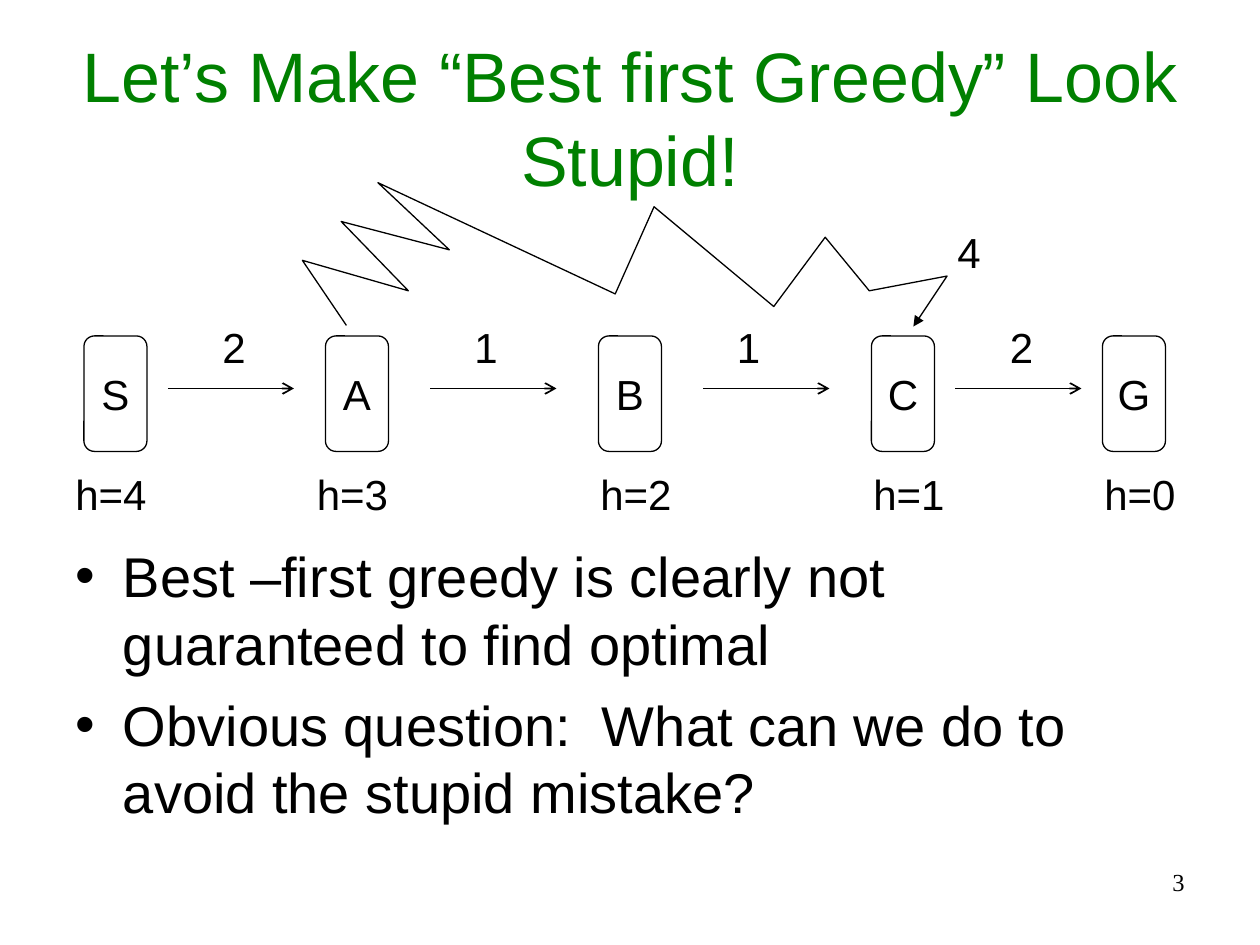
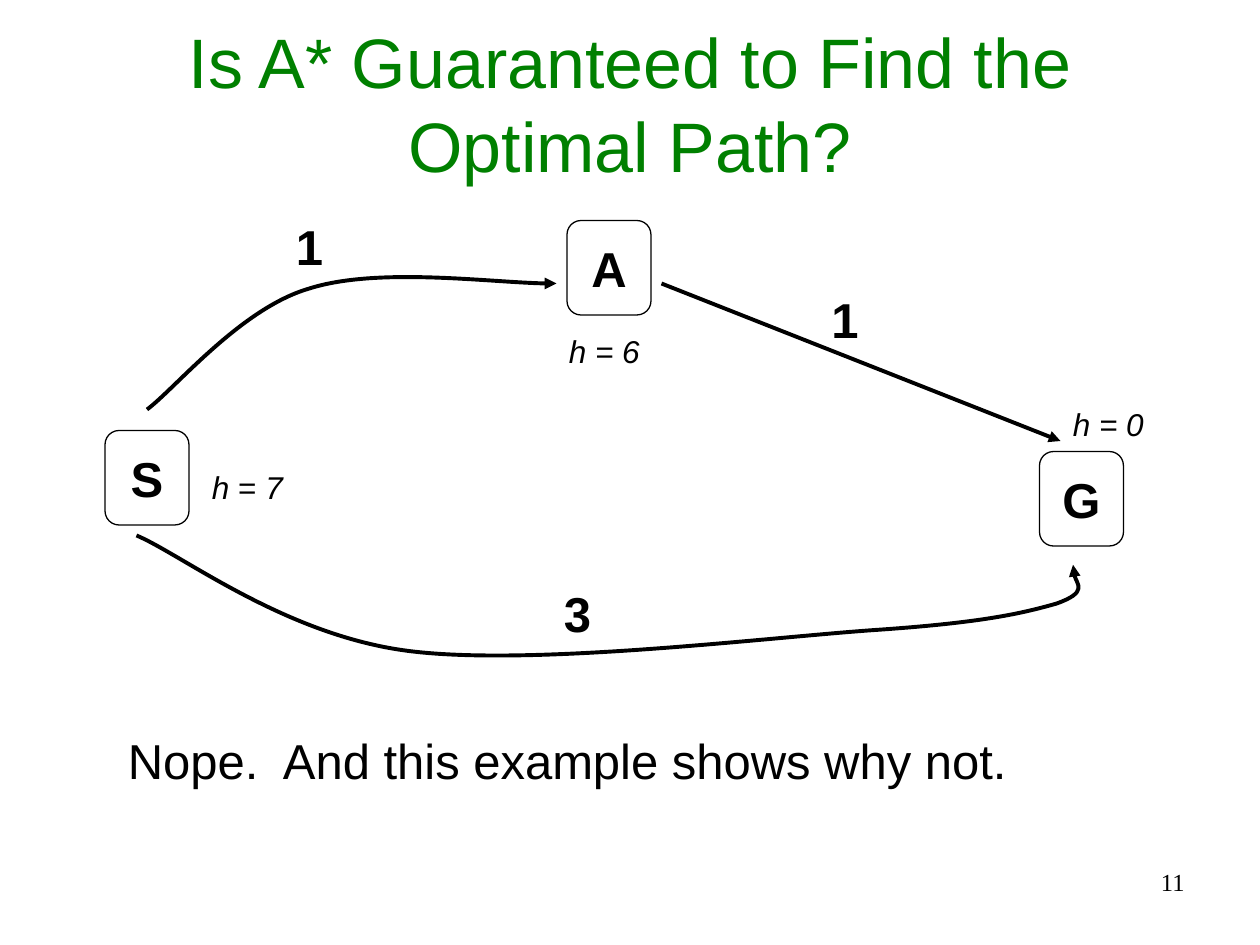
"""Build two slides on the weaknesses of greedy and A* search."""
from dataclasses import dataclass

from lxml.etree import SubElement
from pptx import Presentation
from pptx.dml.color import RGBColor
from pptx.enum.shapes import MSO_CONNECTOR, MSO_SHAPE
from pptx.enum.text import MSO_ANCHOR, MSO_AUTO_SIZE, PP_ALIGN
from pptx.oxml.ns import qn
from pptx.util import Emu, Pt

PX = 7620


@dataclass(frozen=True)
class Theme:
    """Colours, fonts, type sizes and line widths of both slides."""
    ink: RGBColor = RGBColor(0x00, 0x00, 0x00)
    title: RGBColor = RGBColor(0x00, 0x80, 0x00)
    font: str = "Arial"
    number_font: str = "Times New Roman"
    title_size: int = 40
    body_size: int = 32
    graph_size: int = 28
    chain_size: int = 24
    heuristic_size: int = 18
    number_size: int = 14
    line_height: float = 1.2
    thin: float = 0.75
    arrow: float = 1
    thick: float = 2.25


@dataclass(frozen=True)
class Box:
    """A rectangle in px."""
    left: int
    top: int
    width: int
    height: int

    def inner(self, left, top, width, height):
        """Return a box placed relative to this one."""
        return Box(self.left + left, self.top + top, width, height)

    def emu(self):
        """Return left, top, width and height in EMU."""
        return [Emu(v * PX) for v in (self.left, self.top, self.width, self.height)]


THEME = Theme()


def format_paragraph(paragraph, size, color=THEME.ink, font=THEME.font,
                     align=None, bold=False, italic=False):
    """Give a paragraph its alignment, line height and run format."""
    paragraph.alignment = align
    paragraph.line_spacing = Pt(size * THEME.line_height)
    for run in paragraph.runs:
        run.font.name = font
        run.font.size = Pt(size)
        run.font.bold = bold
        run.font.italic = italic
        run.font.color.rgb = color


def move_placeholder(placeholder, box):
    """Place a template placeholder and stop it from shrinking its text."""
    placeholder.left, placeholder.top, placeholder.width, placeholder.height = box.emu()
    placeholder.text_frame.auto_size = MSO_AUTO_SIZE.NONE


def add_title(slide, box, text):
    """Fill the title placeholder."""
    title = slide.shapes.title
    move_placeholder(title, box)
    title.text_frame.text = text
    title.text_frame.vertical_anchor = MSO_ANCHOR.MIDDLE
    format_paragraph(title.text_frame.paragraphs[0], THEME.title_size,
                     THEME.title, align=PP_ALIGN.CENTER)


def add_bullets(slide, box, items):
    """Fill the body placeholder with a bulleted list."""
    body = slide.placeholders[1]
    move_placeholder(body, box)
    body.text_frame.text = "\n".join(items)
    for index, paragraph in enumerate(body.text_frame.paragraphs):
        format_paragraph(paragraph, THEME.body_size)
        paragraph.space_before = Pt(8 if index else 0)


def add_label(slide, box, parts, size, **style):
    """Add a text box whose parts become separate runs."""
    label = slide.shapes.add_textbox(*box.emu())
    label.text_frame.word_wrap = True
    paragraph = label.text_frame.paragraphs[0]
    for part in parts:
        paragraph.add_run().text = part
    format_paragraph(paragraph, size, **style)
    return label


def add_page_number(slide, number):
    """Add the number at the lower right."""
    add_label(slide, Box(570, 820, 570, 62), [number], THEME.number_size,
              font=THEME.number_font, align=PP_ALIGN.RIGHT)


def add_node(slide, box, name, size, bold=False):
    """Add a rounded search node."""
    node = slide.shapes.add_shape(MSO_SHAPE.ROUNDED_RECTANGLE, *box.emu())
    node.shadow.inherit = False
    node.fill.background()
    node.line.color.rgb = THEME.ink
    node.line.width = Pt(THEME.thin)
    frame = node.text_frame
    frame.text = name
    frame.word_wrap = False
    frame.vertical_anchor = MSO_ANCHOR.MIDDLE
    format_paragraph(frame.paragraphs[0], size, align=PP_ALIGN.CENTER, bold=bold)


def style_arrow(shape, width, head):
    """Colour a line and put an arrowhead at its end."""
    shape.line.color.rgb = THEME.ink
    shape.line.width = Pt(width)
    SubElement(shape.line._get_or_add_ln(), qn("a:tailEnd"), type=head)


def add_arrow(slide, box, width, head):
    """Add a straight arrow from the top left to the bottom right of a box."""
    left, top, across, down = box.emu()
    arrow = slide.shapes.add_connector(MSO_CONNECTOR.STRAIGHT, left, top,
                                       left + across, top + down)
    style_arrow(arrow, width, head)
    SubElement(arrow._element.spPr, qn("a:effectLst"))


def add_route(slide, box, points, width, curved=False):
    """Add an open arrow through points, or along Bezier control points."""
    builder = slide.shapes.build_freeform(*points[0], scale=PX)
    builder.add_line_segments(points[1:], close=False)
    route = builder.convert_to_shape(*box.emu()[:2])
    route.shadow.inherit = False
    route.fill.background()
    style_arrow(route, width, "triangle")
    if curved:
        outline = next(route._element.iter(qn("a:moveTo"))).getparent()
        segments = outline.findall(qn("a:lnTo"))
        for first in range(0, len(segments), 3):
            curve = SubElement(outline, qn("a:cubicBezTo"))
            for segment in segments[first:first + 3]:
                curve.append(segment[0])
                outline.remove(segment)


def add_chain(slide, box):
    """Draw the chain from S to G with its costs, estimates and detour."""
    size = THEME.chain_size
    nodes = [("S", 20, "h=4", 0), ("A", 250, "h=3", 230), ("B", 510, "h=2", 500),
             ("C", 770, "h=1", 760), ("G", 990, "h=0", 980)]
    for name, left, estimate, estimate_left in nodes:
        add_node(slide, box.inner(left, 150, 60, 110), name, size)
        add_label(slide, box.inner(estimate_left, 270, 120, 60), [estimate], size)
    steps = [("2", 100, 140), ("1", 350, 380), ("1", 610, 630), ("2", 850, 890)]
    for cost, left, cost_left in steps:
        add_arrow(slide, box.inner(left, 200, 120, 0), THEME.arrow, "arrow")
        add_label(slide, box.inner(cost_left, 130, 70, 60), [cost], size)
    detour = [(270, 140), (228, 78), (329, 107), (265, 41), (368, 68), (300, 4),
              (526, 110), (563, 27), (677, 122), (726, 56), (768, 107),
              (842, 93), (810, 141)]
    add_route(slide, box, detour, THEME.thin)
    add_label(slide, box.inner(840, 40, 70, 60), ["4"], size)


def add_graph(slide, box):
    """Draw the graph in which S reaches G directly or through A."""
    for name, left, top in [("A", 440, 10), ("G", 890, 230), ("S", 0, 210)]:
        add_node(slide, box.inner(left, top, 80, 90), name, THEME.graph_size, bold=True)
    add_arrow(slide, box.inner(530, 70, 380, 150), THEME.thick, "triangle")
    start_to_a = [(40, 190), (66, 171), (129, 94), (194, 75),
                  (259, 54), (381, 71), (430, 70)]
    start_to_goal = [(30, 310), (73, 328), (171, 405), (289, 420), (406, 435),
                     (632, 407), (734, 400), (837, 393), (874, 384), (906, 375),
                     (937, 364), (919, 345), (922, 338)]
    for route in (start_to_a, start_to_goal):
        add_route(slide, box, route, THEME.thick, curved=True)
    costs = [("1", 170, 0, 60, None), ("1", 680, 70, 60, None),
             ("3", 380, 350, 140, PP_ALIGN.CENTER)]
    for cost, left, top, width, align in costs:
        add_label(slide, box.inner(left, top, width, 68), [cost],
                  THEME.graph_size, bold=True, align=align)
    estimates = [(["h = 6"], 430, 110), (["h = 0"], 910, 180),
                 (["h", " = ", "7"], 90, 240)]
    for parts, left, top in estimates:
        label = add_label(slide, box.inner(left, top, 120, 48), parts,
                          THEME.heuristic_size, italic=True)
        for run in label.text_frame.paragraphs[0].runs[1:2]:
            run.font.italic = False


def build_greedy_slide(presentation):
    """Add the slide on best-first greedy search."""
    slide = presentation.slides.add_slide(presentation.slide_layouts[1])
    add_title(slide, Box(60, 36, 1080, 150), "Let’s Make “Best first Greedy” Look Stupid!")
    add_bullets(slide, Box(60, 510, 1080, 294), [
        "Best –first greedy is clearly not guaranteed to find optimal",
        "Obvious question:  What can we do to avoid the stupid mistake?",
    ])
    add_chain(slide, Box(60, 170, 1100, 330))
    add_page_number(slide, "3")


def build_a_star_slide(presentation):
    """Add the slide on the optimality of A*."""
    slide = presentation.slides.add_slide(presentation.slide_layouts[5])
    add_title(slide, Box(60, 36, 1080, 124), "Is A* Guaranteed to Find the Optimal Path?")
    add_graph(slide, Box(100, 200, 1000, 440))
    add_label(slide, Box(110, 690, 960, 68),
              ["Nope.  And this example shows why not."], THEME.graph_size)
    add_page_number(slide, "11")


def main():
    """Build and save the presentation."""
    presentation = Presentation()
    presentation.slide_width = Emu(1200 * PX)
    presentation.slide_height = Emu(900 * PX)
    build_greedy_slide(presentation)
    build_a_star_slide(presentation)
    presentation.save("out.pptx")


if __name__ == "__main__":
    main()
